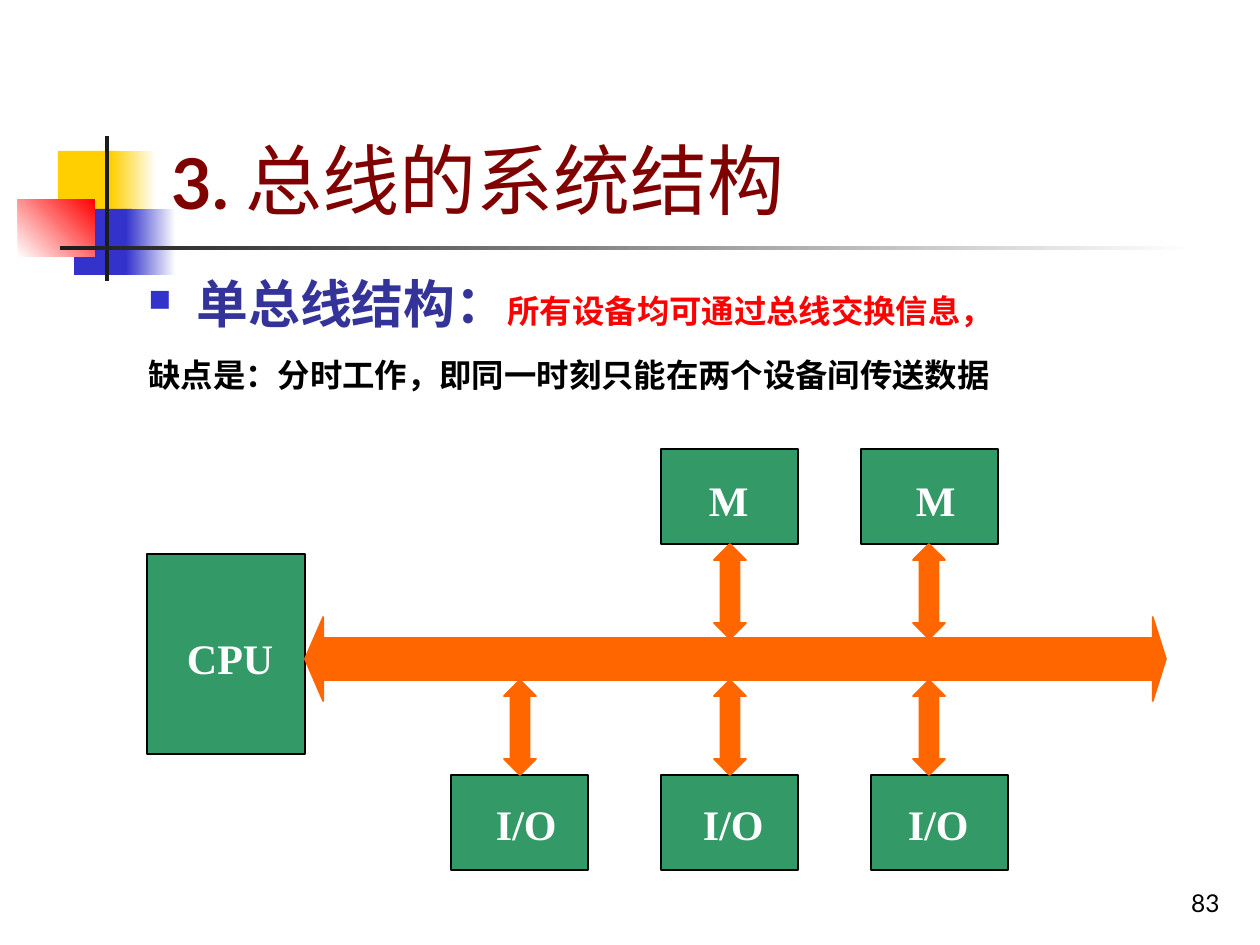
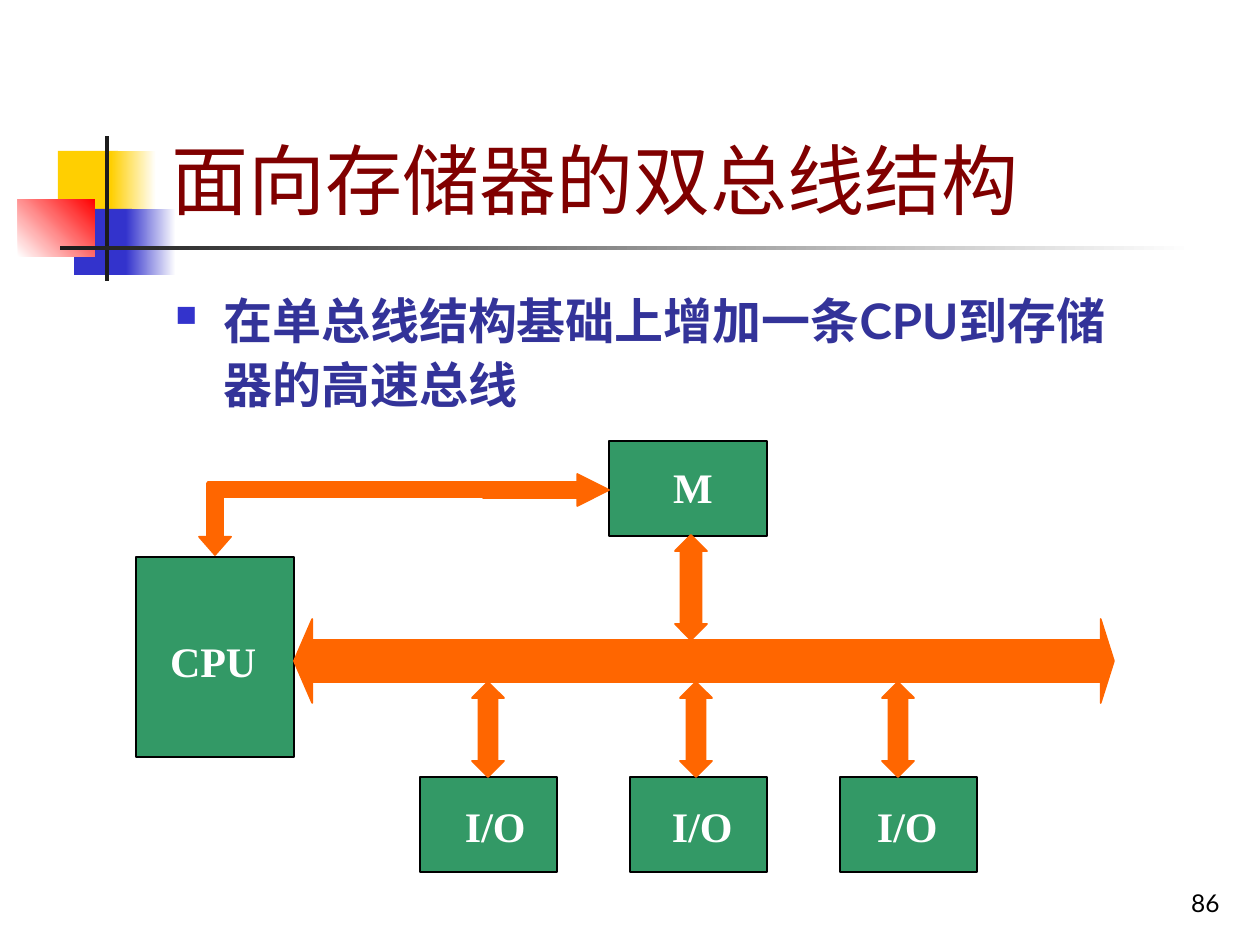
from lxml import etree
from pptx import Presentation
from pptx.dml.color import RGBColor
from pptx.enum.shapes import MSO_SHAPE
from pptx.enum.text import MSO_ANCHOR, MSO_AUTO_SIZE, PP_ALIGN
from pptx.oxml.ns import qn
from pptx.util import Emu, Pt

RECT = MSO_SHAPE.RECTANGLE
LEFT_ARROW = MSO_SHAPE.LEFT_ARROW
RIGHT_ARROW = MSO_SHAPE.RIGHT_ARROW
DOWN_ARROW = MSO_SHAPE.DOWN_ARROW
UP_DOWN_ARROW = MSO_SHAPE.UP_DOWN_ARROW
TOP, MIDDLE, BOTTOM = MSO_ANCHOR.TOP, MSO_ANCHOR.MIDDLE, MSO_ANCHOR.BOTTOM
LEFT, RIGHT = PP_ALIGN.LEFT, PP_ALIGN.RIGHT

PX_PER_INCH = 126
SLIDE_SIZE = (1260, 945)
LATIN, CJK, LABEL_FONT = "Lato", "Noto Sans CJK SC", "Times New Roman"
MAROON, INDIGO, BLUE, RED = "800000", "333399", "3333CC", "FF0000"
YELLOW, DARK, BLACK, WHITE = "FFCF01", "1C1C1C", "000000", "FFFFFF"
GREEN, ORANGE = "339966", "FF6600"

# Shared frame: place, start colour, end colour, gradient angle
TITLE_PLACE = (159, 29, 1074, 202)
NUMBER_PLACE = (970, 861, 262, 63)
ORNAMENTS = [
    ((58, 151, 60, 66), YELLOW, None, 0),
    ((111, 151, 45, 66), YELLOW, WHITE, 0),
    ((74, 209, 58, 66), BLUE, None, 0),
    ((126, 209, 50, 66), BLUE, WHITE, 0),
    ((18, 199, 77, 58), WHITE, RED, 45),
    ((105, 136, 4, 145), DARK, None, 0),
    ((60, 246, 1134, 4), DARK, WHITE, 0),
]

# Diagram measures
BOX_WIDTH, BOX_HEIGHT = 137, 95
CPU_SIZE = (158, 200)
IO_PITCH = 210
IO_LABEL_INSETS = (45, 42, 37)
IO_LABEL_TOP = 23
ARROW_WIDTH = 32
BUS_HEIGHT, BUS_HEAD_HEIGHT = 42, 84
LEFT_HEAD_WIDTH, RIGHT_HEAD_WIDTH = 73, 53

# Runs are (text, size, colour, bold, font); boxes are
# (label, place, label left, label top) with label offsets inside the box
SLIDES = [
    {
        "number": "83",
        "title": [("3. ", 40, MAROON, True, LATIN),
                  ("总线的系统结构", 44, MAROON, False, LATIN)],
        "body_place": (136, 273, 1079, 136),
        "spacing": (0.9, 12.5, 1.2),
        "body": [
            (True, [("单总线结构：", 29.6, INDIGO, True, LATIN),
                    ("所有设备均可通过总线交换信息，", 18.5, RED, True, LATIN)]),
            (False, [("缺点是：分时工作，即同一时刻只能在两个设备间传送数据",
                      18.5, BLACK, True, LATIN)]),
        ],
        "boxes": [
            ("CPU", (147, 554, *CPU_SIZE), 40, 79),
            ("M", (661, 449, BOX_WIDTH, BOX_HEIGHT), 48, 26),
            ("M", (861, 449, BOX_WIDTH, BOX_HEIGHT), 55, 26),
        ],
        "io_left": 451,
        "io_top": 775,
        "bus": (305, 378, 1113, 1113, 638),
        "io_arrows": (504, 714, 913),
        "memory_arrows": [(714, 544, 95, 0.6), (913, 544, 95, 0.6)],
        "link": [],
    },
    {
        "number": "86",
        "title": [("面向存储器的双总线结构", 44, MAROON, False, CJK)],
        "body_place": (163, 278, 992, 174),
        "spacing": (1.1, 7, 1.8),
        "body": [
            (True, [("在单总线结构基础上增加一条CPU到存储器的高速总线",
                     28, INDIGO, True, LATIN)]),
        ],
        "boxes": [
            ("CPU", (136, 557, *CPU_SIZE), 34, 79),
            ("M", (609, 441, 158, BOX_HEIGHT), 64, 20),
        ],
        "io_left": 420,
        "io_top": 777,
        "bus": (294, 347, 1082, 1061, 640),
        "io_arrows": (472, 680, 882),
        "memory_arrows": [(675, 535, 105, 0.66)],
        "link": [
            (DOWN_ARROW, (199, 483, 32, 72), (0.5, 0.57)),
            (RIGHT_ARROW, (483, 474, 126, 32), (0.5, 0.99)),
            (RECT, (208, 482, 294, 15), ()),
        ],
    },
]


def px(value):
    return Emu(round(value * 914400 / PX_PER_INCH))


def scaled(place):
    return [px(value) for value in place]


def color(hex_value):
    return RGBColor.from_string(hex_value)


def add_block(slide, kind, place, fill, line=None, adjustments=()):
    shape = slide.shapes.add_shape(kind, *scaled(place))
    shape.shadow.inherit = False
    shape.fill.solid()
    shape.fill.fore_color.rgb = color(fill)
    if line:
        shape.line.color.rgb = color(line)
        shape.line.width = Pt(1)
    else:
        shape.line.fill.background()
    for index, value in enumerate(adjustments):
        shape.adjustments[index] = value
    return shape


def add_arrow(slide, kind, place, adjustments=()):
    add_block(slide, kind, place, ORANGE, ORANGE, adjustments)


def add_runs(paragraph, runs):
    for text, size, hex_value, bold, font_name in runs:
        run = paragraph.add_run()
        run.text = text
        run.font.size = Pt(size)
        run.font.bold = bold
        run.font.name = font_name
        run.font.color.rgb = color(hex_value)
        east_asian = etree.Element(qn("a:ea"), typeface=CJK)
        run.font._element.find(qn("a:latin")).addnext(east_asian)


def add_bullet(paragraph):
    properties = paragraph._p.get_or_add_pPr()
    bullet_color = etree.SubElement(properties, qn("a:buClr"))
    etree.SubElement(bullet_color, qn("a:srgbClr"), val=BLUE)
    etree.SubElement(properties, qn("a:buSzPct"), val="60000")
    etree.SubElement(properties, qn("a:buChar"), char="■")


def add_frame(slide, content):
    """Ornaments, slide number and title."""
    for place, start, end, angle in ORNAMENTS:
        shape = add_block(slide, RECT, place, start)
        if end:
            shape.fill.gradient()
            shape.fill.gradient_angle = angle
            for stop, hex_value in zip(shape.fill.gradient_stops, (start, end)):
                stop.color.rgb = color(hex_value)

    number_frame = slide.shapes.add_textbox(*scaled(NUMBER_PLACE)).text_frame
    number_frame.word_wrap = True
    number_frame.vertical_anchor = BOTTOM
    paragraph = number_frame.paragraphs[0]
    paragraph.alignment = RIGHT
    add_runs(paragraph, [(content["number"], 14, BLACK, False, LATIN)])

    title = slide.shapes.title
    title.left, title.top, title.width, title.height = scaled(TITLE_PLACE)
    title.text_frame.auto_size = MSO_AUTO_SIZE.NONE
    title.text_frame.vertical_anchor = BOTTOM
    paragraph = title.text_frame.paragraphs[0]
    paragraph.alignment = LEFT
    add_runs(paragraph, content["title"])


def add_body(slide, content):
    text_frame = slide.shapes.add_textbox(*scaled(content["body_place"])).text_frame
    text_frame.word_wrap = True
    line_spacing, space_before, space_after = content["spacing"]
    for index, (bulleted, runs) in enumerate(content["body"]):
        paragraph = text_frame.add_paragraph() if index else text_frame.paragraphs[0]
        properties = paragraph._p.get_or_add_pPr()
        properties.set("marL", str(px(48)))
        properties.set("indent", str(-px(48)))
        if bulleted:
            add_bullet(paragraph)
        paragraph.line_spacing = line_spacing
        paragraph.space_after = Pt(space_after)
        if index:
            paragraph.space_before = Pt(space_before)
        add_runs(paragraph, runs)


def add_box(slide, label, place, label_left, label_top):
    text_frame = add_block(slide, RECT, place, GREEN, BLACK).text_frame
    text_frame.word_wrap = False
    text_frame.vertical_anchor = TOP
    text_frame.margin_left, text_frame.margin_top = px(label_left), px(label_top)
    text_frame.margin_right = text_frame.margin_bottom = 0
    paragraph = text_frame.paragraphs[0]
    paragraph.alignment = LEFT
    add_runs(paragraph, [(label, 24, WHITE, True, LABEL_FONT)])


def add_diagram(slide, content):
    # Boxes
    for box in content["boxes"]:
        add_box(slide, *box)
    io_top = content["io_top"]
    for index, inset in enumerate(IO_LABEL_INSETS):
        left = content["io_left"] + index * IO_PITCH
        add_box(slide, "I/O", (left, io_top, BOX_WIDTH, BOX_HEIGHT), inset, IO_LABEL_TOP)

    # Bus with its two heads
    head_left, bar_left, bar_right, head_right, bar_top = content["bus"]
    head_top = bar_top - (BUS_HEAD_HEIGHT - BUS_HEIGHT) // 2
    add_arrow(slide, RECT, (bar_left, bar_top, bar_right - bar_left, BUS_HEIGHT))
    add_arrow(slide, LEFT_ARROW,
              (head_left, head_top, LEFT_HEAD_WIDTH, BUS_HEAD_HEIGHT), (0.5, 0.25))
    add_arrow(slide, RIGHT_ARROW,
              (head_right, head_top, RIGHT_HEAD_WIDTH, BUS_HEAD_HEIGHT), (0.5, 0.25))

    # Arrows between the bus and the boxes
    bus_bottom = bar_top + BUS_HEIGHT
    io_arrows = [(left, bus_bottom, io_top - bus_bottom, 0.6)
                 for left in content["io_arrows"]]
    for left, top, height, head in io_arrows + content["memory_arrows"]:
        add_arrow(slide, UP_DOWN_ARROW, (left, top, ARROW_WIDTH, height), (0.5, head))

    # Direct link from CPU to memory
    for part in content["link"]:
        add_arrow(slide, *part)


def main():
    presentation = Presentation()
    presentation.slide_width, presentation.slide_height = scaled(SLIDE_SIZE)
    title_only = presentation.slide_layouts[5]
    for content in SLIDES:
        slide = presentation.slides.add_slide(title_only)
        add_frame(slide, content)
        add_body(slide, content)
        add_diagram(slide, content)
    presentation.save("out.pptx")


if __name__ == "__main__":
    main()
